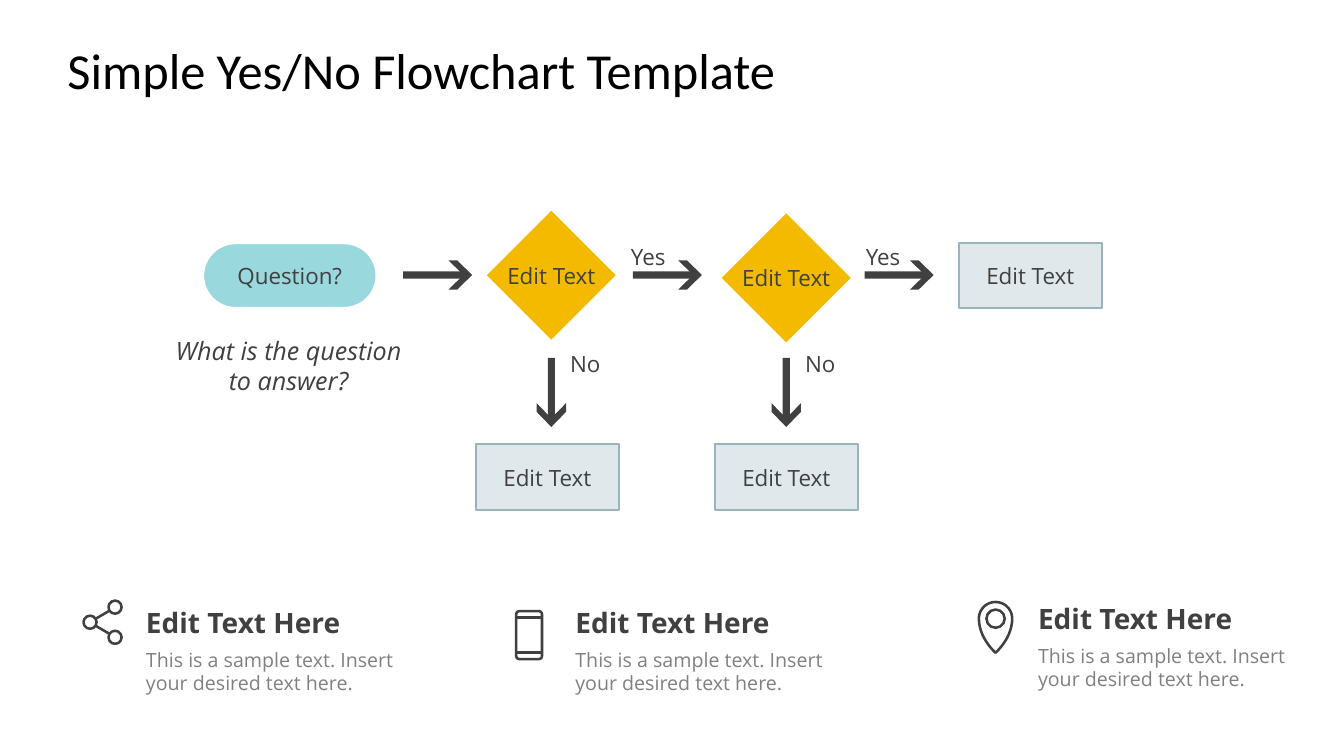
import math

from lxml import etree
from pptx import Presentation
from pptx.dml.color import RGBColor
from pptx.enum.shapes import MSO_CONNECTOR, MSO_SHAPE
from pptx.enum.text import MSO_ANCHOR, PP_ALIGN
from pptx.oxml.ns import qn
from pptx.util import Cm, Pt

STRAIGHT = MSO_CONNECTOR.STRAIGHT
RECTANGLE, OVAL = MSO_SHAPE.RECTANGLE, MSO_SHAPE.OVAL
ROUNDED = MSO_SHAPE.ROUNDED_RECTANGLE
DECISION, PROCESS = MSO_SHAPE.FLOWCHART_DECISION, MSO_SHAPE.FLOWCHART_PROCESS
TOP, MIDDLE, BOTTOM = MSO_ANCHOR.TOP, MSO_ANCHOR.MIDDLE, MSO_ANCHOR.BOTTOM
LEFT, CENTER = PP_ALIGN.LEFT, PP_ALIGN.CENTER

BLACK = RGBColor(0x00, 0x00, 0x00)
WHITE = RGBColor(0xFF, 0xFF, 0xFF)
DARK = RGBColor(0x40, 0x40, 0x40)
GRAY = RGBColor(0x80, 0x80, 0x80)
TEAL = RGBColor(0x99, 0xD8, 0xDD)
YELLOW = RGBColor(0xF4, 0xBA, 0x00)
PALE = RGBColor(0xE0, 0xE8, 0xEB)
PALE_EDGE = RGBColor(0x9A, 0xB4, 0xBE)

ICON_STROKE = 1.8
DIAMOND = 3.25
FLOW_AXIS = 1.62  # height of the main line below the flowchart's top
ARROW_HEAD = [(1.74, 0), (1.36, 0.37), (1.14, 0.37), (1.49, 0.03),
              (1.49, -0.03), (1.14, -0.37), (1.36, -0.37)]


def write(shape, text, size, color=DARK, font="Open Sans", align=LEFT,
          anchor=TOP, inset=True, wrap=True, bold=False, italic=False):
    frame = shape.text_frame
    frame.text = text
    frame.word_wrap = wrap
    frame.vertical_anchor = anchor
    if not inset:
        frame.margin_left = frame.margin_right = 0
        frame.margin_top = frame.margin_bottom = 0
    paragraph = frame.paragraphs[0]
    paragraph.alignment = align
    letters = paragraph.runs[0].font
    letters.name, letters.size = font, Pt(size)
    letters.bold, letters.italic = bold, italic
    letters.color.rgb = color


def add_text(slide, box, text, size, **style):
    write(slide.shapes.add_textbox(*map(Cm, box)), text, size, **style)


def paint(shape, fill=None, line=None, line_width=1):
    """Set fill and outline; None leaves either of them off."""
    shape.shadow.inherit = False
    for part, color in ((shape.fill, fill), (shape.line.fill, line)):
        if color is None:
            part.background()
        else:
            part.solid()
            part.fore_color.rgb = color
    if line is not None:
        shape.line.width = Pt(line_width)


def add_block(slide, kind, box, fill=None, line=None, line_width=1):
    block = slide.shapes.add_shape(kind, *map(Cm, box))
    paint(block, fill, line, line_width)
    return block


def add_outline(slide, points, **colors):
    corners = [(Cm(x), Cm(y)) for x, y in points]
    builder = slide.shapes.build_freeform(*corners[0])
    builder.add_line_segments(corners[1:])
    paint(builder.convert_to_shape(), **colors)


def add_stroke(slide, x1, y1, x2, y2):
    stroke = slide.shapes.add_connector(STRAIGHT, *map(Cm, (x1, y1, x2, y2)))
    stroke.line.color.rgb = DARK
    stroke.line.width = Pt(ICON_STROKE)
    properties = stroke._element.find(qn("p:spPr"))
    etree.SubElement(properties, qn("a:effectLst"))


def add_ring(slide, x, y, diameter):
    box = (x - diameter / 2, y - diameter / 2, diameter, diameter)
    add_block(slide, OVAL, box, line=DARK, line_width=ICON_STROKE)


def draw_arrow(slide, x, y, down=False):
    """Start an arrow at (x, y), pointing right or down."""
    length, thickness = 1.55, 0.18
    if down:
        bar = (x - thickness / 2, y, thickness, length)
        head = [(x + across, y + along) for along, across in ARROW_HEAD]
    else:
        bar = (x, y - thickness / 2, length, thickness)
        head = [(x + along, y + across) for along, across in ARROW_HEAD]
    add_block(slide, RECTANGLE, bar, fill=DARK)
    add_outline(slide, head, fill=DARK)


def draw_outcome(slide, left, top):
    block = add_block(slide, PROCESS, (left, top, 3.61, 1.65),
                      PALE, PALE_EDGE, 1.5)
    write(block, "Edit Text", 16, align=CENTER, anchor=MIDDLE)


def draw_question(slide, left, top):
    pill = add_block(slide, ROUNDED, (left + 1.1, top + 0.81, 4.39, 1.65),
                     TEAL, WHITE, 2)
    pill.adjustments[0] = 0.5
    write(pill, "Question?", 16, align=CENTER, anchor=MIDDLE)
    add_text(slide, (left, top + 3.02, 6.53, 1.8),
             "What is the question to answer?", 18, align=CENTER, italic=True)
    draw_arrow(slide, left + 6.15, top + FLOW_AXIS)


def draw_decision(slide, left, top, drop, yes_gap, no_shift):
    """Draw a diamond with its Yes arrow, and its No arrow and outcome."""
    diamond = add_block(slide, DECISION, (left, top + drop, DIAMOND, DIAMOND),
                        YELLOW)
    write(diamond, "Edit Text", 16, align=CENTER, anchor=MIDDLE,
          inset=False, wrap=False)
    draw_arrow(slide, left + DIAMOND + yes_gap, top + FLOW_AXIS)
    draw_arrow(slide, left + DIAMOND / 2, top + 3.71, down=True)
    add_text(slide, (left + 3.38, top + 0.68, 2.79, 0.94), "Yes", 16)
    add_text(slide, (left + 1.85, top + 3.4, 2.79, 0.94), "No", 16)
    draw_outcome(slide, left + no_shift, top + 5.89)


def draw_flowchart(slide, left, top):
    draw_question(slide, left, top)
    draw_decision(slide, left + 8.26, top, 0, 0.43, -0.28)
    draw_decision(slide, left + 14.18, top, 0.07, 0.35, -0.18)
    draw_outcome(slide, left + 20.15, top + 0.81)


def draw_share_icon(slide, left, top):
    middle = top + 0.57
    add_ring(slide, left + 0.19, middle, 0.33)
    for side in (-1, 1):
        add_ring(slide, left + 0.82, middle + side * 0.38, 0.33)
        add_stroke(slide, left + 0.35, middle + side * 0.1,
                   left + 0.66, middle + side * 0.28)


def draw_phone_icon(slide, left, top):
    body = add_block(slide, ROUNDED, (left + 0.03, top + 0.03, 0.65, 1.21),
                     line=DARK, line_width=ICON_STROKE)
    body.adjustments[0] = 0.12
    for y in (0.19, 1.07):
        add_stroke(slide, left + 0.06, top + y, left + 0.65, top + y)


def draw_pin_icon(slide, left, top):
    radius, tip, steps = 0.42, 0.86, 12
    x, y = left + 0.45, top + 0.45
    angles = [math.pi * (1 + i / 24) for i in range(25)]
    crown = [(radius * math.cos(a), radius * math.sin(a)) for a in angles]
    side = []
    for i in range(1, steps + 1):
        t = i / steps
        u = 1 - t
        side.append((radius * (u ** 3 + 3 * u * u * t) + 0.3 * u * t * t,
                     1.29 * u * u * t + 2.31 * u * t * t + tip * t ** 3))
    mirrored = [(-dx, dy) for dx, dy in reversed(side[:-1])]
    add_outline(slide, [(x + dx, y + dy) for dx, dy in crown + side + mirrored],
                line=DARK, line_width=ICON_STROKE)
    add_ring(slide, x, y, 0.46)


def draw_caption(slide, left, top):
    add_text(slide, (left, top, 6.5, 0.86), "Edit Text Here", 20,
             anchor=BOTTOM, inset=False, bold=True)
    add_text(slide, (left, top + 1.08, 6.5, 1.27),
             "This is a sample text. Insert your desired text here.", 14,
             color=GRAY, inset=False)


def main():
    deck = Presentation()
    deck.slide_width, deck.slide_height = Cm(33.87), Cm(19.05)
    slide = deck.slides.add_slide(deck.slide_layouts[6])
    add_text(slide, (1.7, 0.76, 30.48, 1.98),
             "Simple Yes/No Flowchart Template", 36, color=BLACK,
             font="Calibri", anchor=MIDDLE, inset=False)
    draw_flowchart(slide, 4.01, 5.31)
    for left, top in ((3.68, 15.24), (14.5, 15.24), (26.16, 15.14)):
        draw_caption(slide, left, top)
    draw_share_icon(slide, 2.08, 15.11)
    draw_phone_icon(slide, 12.98, 15.37)
    draw_pin_icon(slide, 24.64, 15.14)
    deck.save("out.pptx")


if __name__ == "__main__":
    main()
